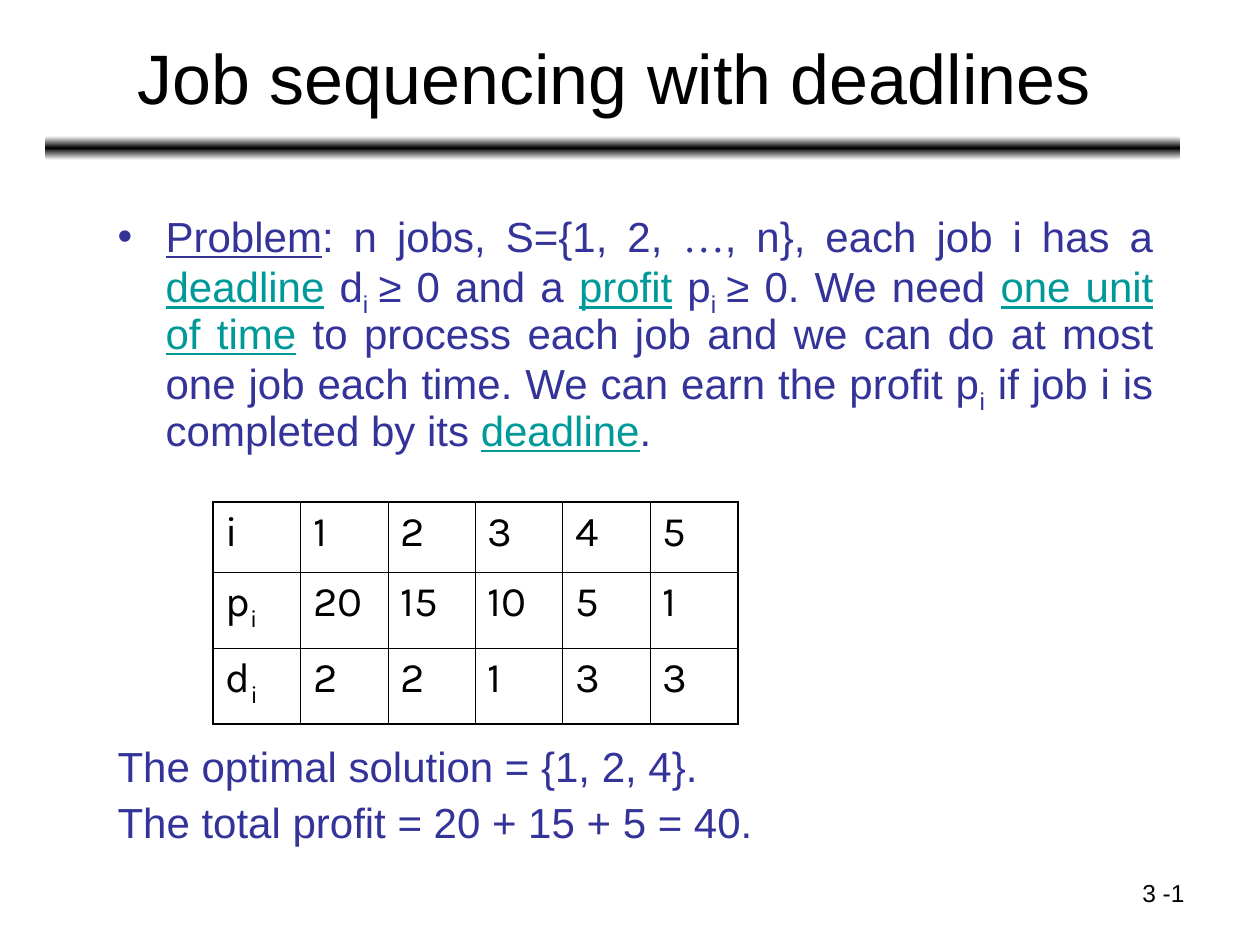
from lxml.etree import SubElement
from copy import deepcopy
from pptx import Presentation
from pptx.dml.color import RGBColor
from pptx.enum.shapes import MSO_SHAPE as Shape
from pptx.enum.text import MSO_ANCHOR as Anchor, MSO_AUTO_SIZE as AutoSize, PP_ALIGN as Align
from pptx.oxml.ns import qn
from pptx.util import Emu, Pt

COLORS = {"black": "000000", "white": "FFFFFF", "body": "333399", "key": "009999"}
SCALE = 914400 / 126
HANGING = 48
THIN, THICK = 0.45, 1.08


def px(length):
    return Emu(round(length * SCALE))


def rgb(name):
    return RGBColor.from_string(COLORS[name])


class SlideBuilder:
    font = "Arial"
    table_font = "Karla"

    def __init__(self, presentation):
        self.slide = presentation.slides.add_slide(presentation.slide_layouts[1])

    def place(self, shape, left, top, width, height):
        shape.left, shape.top = px(left), px(top)
        shape.width, shape.height = px(width), px(height)

    def run(self, paragraph, text, size, color="black", font=None, underline=False, sub=False):
        run = paragraph.add_run()
        run.text = text
        run.font.name = font or self.font
        run.font.size = Pt(size)
        run.font.color.rgb = rgb(color)
        run.font.underline = underline
        if sub:
            run.font._element.set("baseline", "-25000")

    def gradient_bar(self, *box):
        """Draw a rounded bar that fades to white above and below."""
        bar = self.slide.shapes.add_shape(Shape.ROUNDED_RECTANGLE, *map(px, box))
        bar.shadow.inherit = False
        bar.line.fill.background()
        bar.fill.gradient()
        bar.fill.gradient_angle = 90
        first = bar.fill.gradient_stops[0]._gs
        first.addnext(deepcopy(first))
        for stop, position, color in zip(bar.fill.gradient_stops, (0, 0.5, 1),
                                         ("white", "black", "white")):
            stop.position = position
            stop.color.rgb = rgb(color)

    def title(self, text, *box):
        shape = self.slide.shapes.title
        self.place(shape, *box)
        frame = shape.text_frame
        frame.auto_size = AutoSize.NONE
        frame.vertical_anchor = Anchor.MIDDLE
        frame.paragraphs[0].alignment = Align.CENTER
        self.run(frame.paragraphs[0], text, 40)

    def page_number(self, text, *box):
        frame = self.slide.shapes.add_textbox(*map(px, box)).text_frame
        frame.word_wrap = True
        frame.paragraphs[0].alignment = Align.RIGHT
        self.run(frame.paragraphs[0], text, 14)

    def body(self, *box):
        shape = self.slide.placeholders[1]
        self.place(shape, *box)
        shape.text_frame.auto_size = AutoSize.NONE
        return shape.text_frame

    def body_paragraph(self, paragraph, parts, space_before=0, bullet=False):
        """Fill a paragraph from (text, run options) pairs."""
        paragraph.alignment = Align.JUSTIFY if bullet else Align.LEFT
        paragraph.line_spacing = 0.9
        paragraph.space_before = Pt(space_before)
        properties = paragraph._p.get_or_add_pPr()
        properties.set("marL", str(px(HANGING)))
        properties.set("indent", str(-px(HANGING)))
        if bullet:
            color = SubElement(properties, qn("a:buClr"))
            SubElement(color, qn("a:srgbClr"), val=COLORS["body"])
            SubElement(properties, qn("a:buChar"), char="•")
        else:
            SubElement(properties, qn("a:buNone"))
        for text, options in parts:
            self.run(paragraph, text, 24, **{"color": "body", **options})

    def border(self, cell, side, width):
        line = SubElement(cell._tc.get_or_add_tcPr(), qn(f"a:ln{side}"), w=str(Pt(width)))
        fill = SubElement(line, qn("a:solidFill"))
        SubElement(fill, qn("a:srgbClr"), val=COLORS["black"])

    def table(self, rows, heights, left, top, width):
        """Draw a grid with a thick outline; the second letter of a label is a subscript."""
        last_row, last_column = len(rows) - 1, len(rows[0]) - 1
        table = self.slide.shapes.add_table(
            len(rows), len(rows[0]), px(left), px(top), px(width), px(sum(heights))).table
        table.first_row = table.horz_banding = False
        for column in table.columns:
            column.width = px(width / len(rows[0]))
        for r, (values, height) in enumerate(zip(rows, heights)):
            table.rows[r].height = px(height)
            for c, value in enumerate(values):
                cell = table.cell(r, c)
                edges = {"L": c == 0, "R": c == last_column, "T": r == 0, "B": r == last_row}
                for side, outer in edges.items():
                    self.border(cell, side, THICK if outer else THIN)
                cell.fill.background()
                paragraph = cell.text_frame.paragraphs[0]
                split = 1 if value.isalpha() else len(value)
                self.run(paragraph, value[:split], 24, font=self.table_font)
                if value[split:]:
                    self.run(paragraph, value[split:], 24, font=self.table_font, sub=True)


def main():
    presentation = Presentation()
    presentation.slide_width, presentation.slide_height = px(1260), px(945)
    builder = SlideBuilder(presentation)
    plain, sub = {}, {"sub": True}
    key = {"color": "key", "underline": True}

    builder.gradient_bar(45, 136, 1135, 24)
    builder.page_number("3 -1", 935, 872, 262, 63)
    builder.title("Job sequencing with deadlines", 47, 14, 1134, 125)

    problem = [
        ("Problem", {"underline": True}),
        (": n jobs, S={1, 2, ", plain),
        ("…", {"font": "Times New Roman"}),
        (", n}, each job i has a ", plain),
        ("deadline", key),
        (" d", plain),
        ("i ", sub),
        ("≥ 0 and a ", plain),
        ("profit", key),
        (" p", plain),
        ("i ", sub),
        ("≥ 0. We need ", plain),
        ("one unit of time", key),
        (" to process each job and we can do at most one job each time. "
         "We can earn the profit p", plain),
        ("i", sub),
        (" if job i is completed by its ", plain),
        ("deadline", key),
        (".", plain),
    ]
    body = builder.body(105, 210, 1061, 659)
    builder.body_paragraph(body.paragraphs[0], problem, bullet=True)
    for text, space_before in (("The optimal solution = {1, 2, 4}.", 166),
                               ("The total profit = 20 + 15 + 5 = 40.", 6)):
        builder.body_paragraph(body.add_paragraph(), [(text, plain)], space_before)

    jobs = [
        ("i", "1", "2", "3", "4", "5"),
        ("pi", "20", "15", "10", "5", "1"),
        ("di", "2", "2", "1", "3", "3"),
    ]
    builder.table(jobs, (70, 76, 76), 213, 502, 525)
    presentation.save("out.pptx")


if __name__ == "__main__":
    main()
